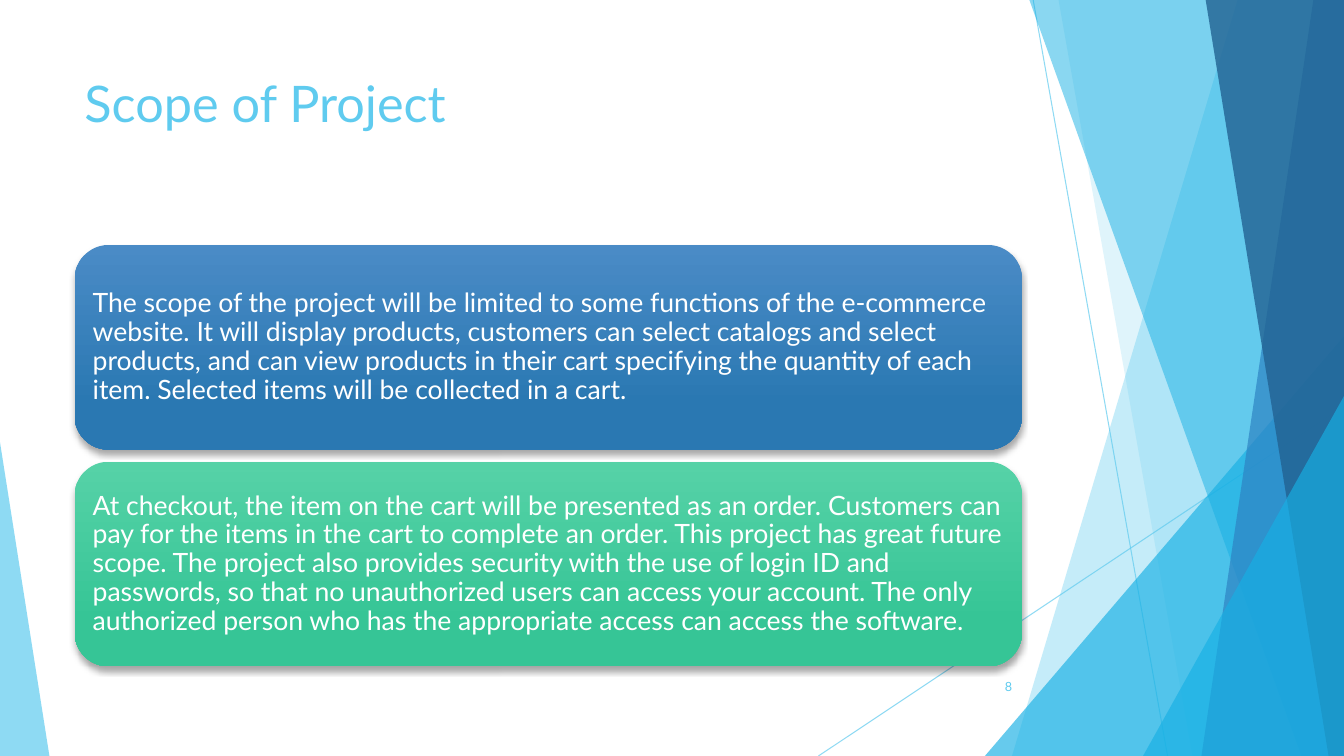
from lxml import etree
from pptx import Presentation
from pptx.dml.color import RGBColor
from pptx.enum.shapes import MSO_CONNECTOR as Connector, MSO_SHAPE as Shape
from pptx.enum.text import MSO_ANCHOR as Anchor, PP_ALIGN as Align
from pptx.oxml.ns import qn
from pptx.util import Pt

WIDTH, HEIGHT = 960, 540
FONT = "Lato"
COLORS = {
    "sky": "5FCBEF", "cyan": "17B0E4", "blue": "2E83C3", "navy": "226292",
    "white": "FFFFFF", "black": "000000",
    "blue_top": "4A8BC6", "blue_bottom": "2A78B2",
    "green_top": "56D2A7", "green_bottom": "36C596",
}
CARDS = [
    ("blue", "The scope of the project will be limited to some functions of the "
     "e-commerce website. It will display products, customers can select catalogs "
     "and select products, and can view products in their cart specifying the "
     "quantity of each item. Selected items will be collected in a cart."),
    ("green", "At checkout, the item on the cart will be presented as an order. "
     "Customers can pay for the items in the cart to complete an order. This project "
     "has great future scope. The project also provides security with the use of "
     "login ID and passwords, so that no unauthorized users can access your account. "
     "The only authorized person who has the appropriate access can access the "
     "software."),
]


def color(name):
    return RGBColor.from_string(COLORS[name])


def set_alpha(container, percent):
    node = next(container.iter(qn("a:srgbClr")))
    etree.SubElement(node, qn("a:alpha")).set("val", str(percent * 1000))


def tint(shape, name, percent):
    shape.shadow.inherit = False
    shape.fill.solid()
    shape.fill.fore_color.rgb = color(name)
    set_alpha(shape.fill._xPr, percent)
    shape.line.fill.background()


def add_ray(page, start, end):
    ray = page.shapes.add_connector(Connector.STRAIGHT, *map(Pt, start + end))
    ray.line.width = Pt(0.75)
    ray.line.color.rgb = color("sky")
    properties = ray._element.spPr
    set_alpha(properties, 70)
    etree.SubElement(properties, qn("a:effectLst"))


def add_strip(page, top_x, bottom_x, name, percent):
    top = -0.6
    builder = page.shapes.build_freeform(Pt(top_x), Pt(top), scale=1.0)
    corners = [(WIDTH, top), (WIDTH, HEIGHT), (bottom_x, HEIGHT)]
    builder.add_line_segments([(Pt(x), Pt(y)) for x, y in corners], close=True)
    tint(builder.convert_to_shape(), name, percent)


def add_corner(page, left, width, height, apex, name, percent):
    corner = page.shapes.add_shape(Shape.ISOSCELES_TRIANGLE, Pt(left),
                                   Pt(HEIGHT - height), Pt(width), Pt(height))
    corner.adjustments[0] = apex
    tint(corner, name, percent)


def add_backdrop(page):
    add_ray(page, (738, 0), (834, HEIGHT))
    add_ray(page, (WIDTH, 290), (584.6, HEIGHT))
    add_strip(page, 884.2, 722.9, "sky", 36)
    add_strip(page, 756, 851.8, "sky", 20)
    add_corner(page, 703.5, 256.5, 300, 1, "cyan", 66)
    add_strip(page, 735.1, 929.5, "cyan", 50)
    add_strip(page, 938.2, 858.2, "blue", 70)
    add_strip(page, 861.1, 949, "navy", 80)
    add_corner(page, 816.5, 143.5, 257, 1, "cyan", 66)
    add_corner(page, 0, 35.3, 224, 0, "sky", 70)


def write(frame, text, size, name, align=Align.LEFT, anchor=Anchor.TOP):
    frame.word_wrap = True
    frame.vertical_anchor = anchor
    para = frame.paragraphs[0]
    para.text = text
    para.alignment = align
    para.font.name = FONT
    para.font.size = Pt(size)
    para.font.color.rgb = color(name)
    return para


def add_label(page, box, text, size, **layout):
    label = page.shapes.add_textbox(*map(Pt, box))
    write(label.text_frame, text, size, "sky", **layout)


def add_card(page, box, theme, text):
    card = page.shapes.add_shape(Shape.ROUNDED_RECTANGLE, *map(Pt, box))
    card.fill.gradient()
    card.fill.gradient_angle = 270
    for stop, position, end in zip(card.fill.gradient_stops, (0, 0.78),
                                   ("top", "bottom")):
        stop.position = position
        stop.color.rgb = color(f"{theme}_{end}")
    card.line.fill.background()
    card.shadow.inherit = False
    effects = card._element.spPr.find(qn("a:effectLst"))
    shadow = etree.SubElement(effects, qn("a:outerShdw"), blurRad=str(Pt(4)),
                              dist=str(Pt(3)), dir="5400000", rotWithShape="0")
    etree.SubElement(shadow, qn("a:srgbClr"), val=COLORS["black"])
    set_alpha(shadow, 35)
    frame = card.text_frame
    frame.margin_left = frame.margin_right = Pt(5.8)
    frame.margin_top = frame.margin_bottom = Pt(5.8)
    write(frame, text, 19, "white", anchor=Anchor.MIDDLE).line_spacing = 0.9


def add_cards(page, box):
    left, top, width, height = box
    gap = 8.6
    card_height = (height - gap * (len(CARDS) - 1)) / len(CARDS)
    for index, (theme, text) in enumerate(CARDS):
        card_top = top + index * (card_height + gap)
        add_card(page, (left, card_top, width, card_height), theme, text)


def main():
    deck = Presentation()
    deck.slide_width, deck.slide_height = Pt(WIDTH), Pt(HEIGHT)
    page = deck.slides.add_slide(deck.slide_layouts[6])
    add_backdrop(page)
    add_label(page, (53.3, 48, 676.8, 104), "Scope of Project", 36)
    add_cards(page, (53.3, 175, 676.8, 301))
    add_label(page, (676.2, 476, 53.9, 28.8), "8", 9,
              align=Align.RIGHT, anchor=Anchor.MIDDLE)
    deck.save("out.pptx")


if __name__ == "__main__":
    main()
